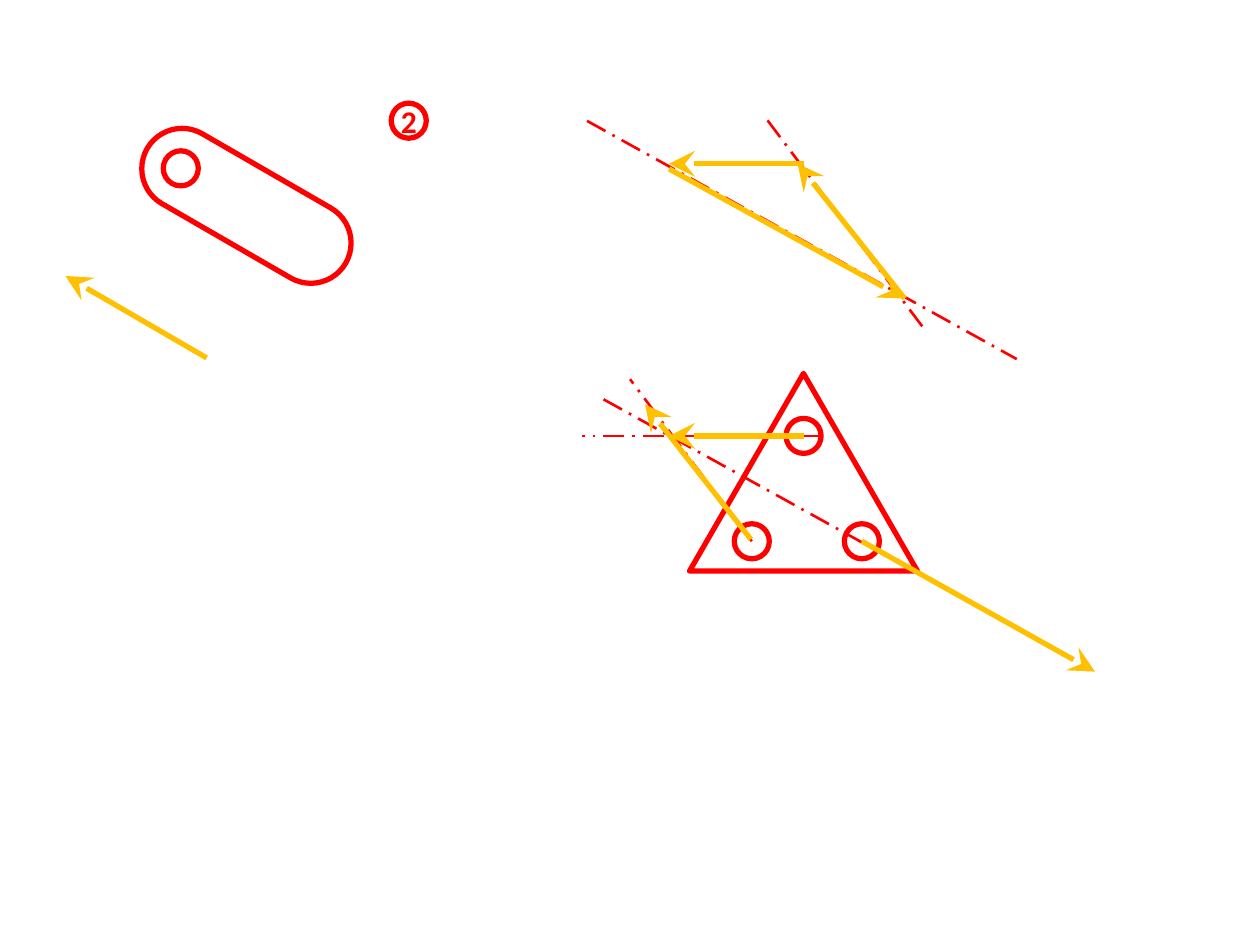
from lxml.etree import SubElement
from pptx import Presentation
from pptx.dml.color import RGBColor
from pptx.enum.dml import MSO_LINE as DASH
from pptx.enum.shapes import MSO_CONNECTOR as CONN, MSO_SHAPE as SHAPE
from pptx.enum.text import MSO_ANCHOR, PP_ALIGN
from pptx.oxml.ns import qn
from pptx.util import Pt

RED = RGBColor(0xFF, 0x00, 0x00)
AMBER = RGBColor(0xFF, 0xC0, 0x00)

PIN_SIZE = 20
LINK_ANGLE = 30

TOP_PIN = (459.2, 249.1)
LEFT_PIN = (429.6, 309.3)
RIGHT_PIN = (492.5, 309.3)
LINK_PIN = (103.3, 96.2)
LABEL_PIN = (233.6, 69)

# Lines of action, as (start, end)
GUIDES = [
    (LEFT_PIN, (360, 216.7)),
    ((469.4, 249.1), (332.6, 249.1)),
    ((344.9, 228.2), (506.2, 317.5)),
    ((335.5, 69.1), (581, 205.2)),
    ((527, 186.5), (437.8, 67.7)),
]

# Forces on the bodies, then the closed force polygon
FORCES = [
    ((118.1, 204.5), (37.4, 157.7)),
    (TOP_PIN, (382.3, 249.1)),
    (RIGHT_PIN, (625.7, 383.8)),
    ((429.1, 308.2), (368.6, 231.1)),
    ((459.4, 93.6), (382.3, 93.6)),
    ((382.3, 96.5), (517, 170.6)),
    ((517, 170.6), (455.8, 93.6)),
]


class Diagram:
    thick, thin = 3, 1.5
    label_font = {"name": "Calibri", "size": Pt(18), "bold": True}
    label_frame = {
        "margin_left": 0,
        "margin_right": 0,
        "margin_top": 0,
        "margin_bottom": 0,
        "word_wrap": False,
        "vertical_anchor": MSO_ANCHOR.MIDDLE,
    }

    def __init__(self, slide):
        self.shapes = slide.shapes

    def outline(self, kind, left, top, width, height, rotation=0):
        sp = self.shapes.add_shape(kind, Pt(left), Pt(top), Pt(width), Pt(height))
        sp.rotation = rotation
        sp.shadow.inherit = False
        sp.fill.background()
        sp.line.color.rgb = RED
        sp.line.width = Pt(self.thick)
        return sp

    def pin(self, center, rotation=LINK_ANGLE):
        x, y = center
        half = PIN_SIZE / 2
        return self.outline(SHAPE.OVAL, x - half, y - half, PIN_SIZE, PIN_SIZE, rotation)

    def labelled_pin(self, center, text):
        """Draw an upright pin with its label centred inside the circle."""
        tf = self.pin(center, rotation=0).text_frame
        for name, value in self.label_frame.items():
            setattr(tf, name, value)
        p = tf.paragraphs[0]
        p.alignment = PP_ALIGN.CENTER
        r = p.add_run()
        r.text = text
        for name, value in self.label_font.items():
            setattr(r.font, name, value)
        r.font.color.rgb = RED

    def line(self, start, end, color, width):
        cxn = self.shapes.add_connector(CONN.STRAIGHT, *map(Pt, start + end))
        cxn.line.color.rgb = color
        cxn.line.width = Pt(width)
        SubElement(cxn._element.spPr, qn("a:effectLst"))
        return cxn

    def guide(self, start, end):
        cxn = self.line(start, end, RED, self.thin)
        cxn.line.dash_style = DASH.LONG_DASH_DOT

    def force(self, start, end):
        cxn = self.line(start, end, AMBER, self.thick)
        ln = cxn.line._get_or_add_ln()
        SubElement(ln, qn("a:tailEnd"), type="stealth", w="lg", len="lg")


def main():
    prs = Presentation()
    prs.slide_width, prs.slide_height = Pt(720), Pt(540)
    diagram = Diagram(prs.slides.add_slide(prs.slide_layouts[6]))

    link = diagram.outline(SHAPE.ROUNDED_RECTANGLE, 75.3, 94.6, 131, 46.1, LINK_ANGLE)
    link.adjustments[0] = 0.5
    diagram.outline(SHAPE.ISOSCELES_TRIANGLE, 394, 213.4, 130.3, 113)

    for center in (LINK_PIN, TOP_PIN, LEFT_PIN, RIGHT_PIN):
        diagram.pin(center)
    diagram.labelled_pin(LABEL_PIN, "2")

    for start, end in GUIDES:
        diagram.guide(start, end)
    for start, end in FORCES:
        diagram.force(start, end)

    prs.save("out.pptx")


if __name__ == "__main__":
    main()
